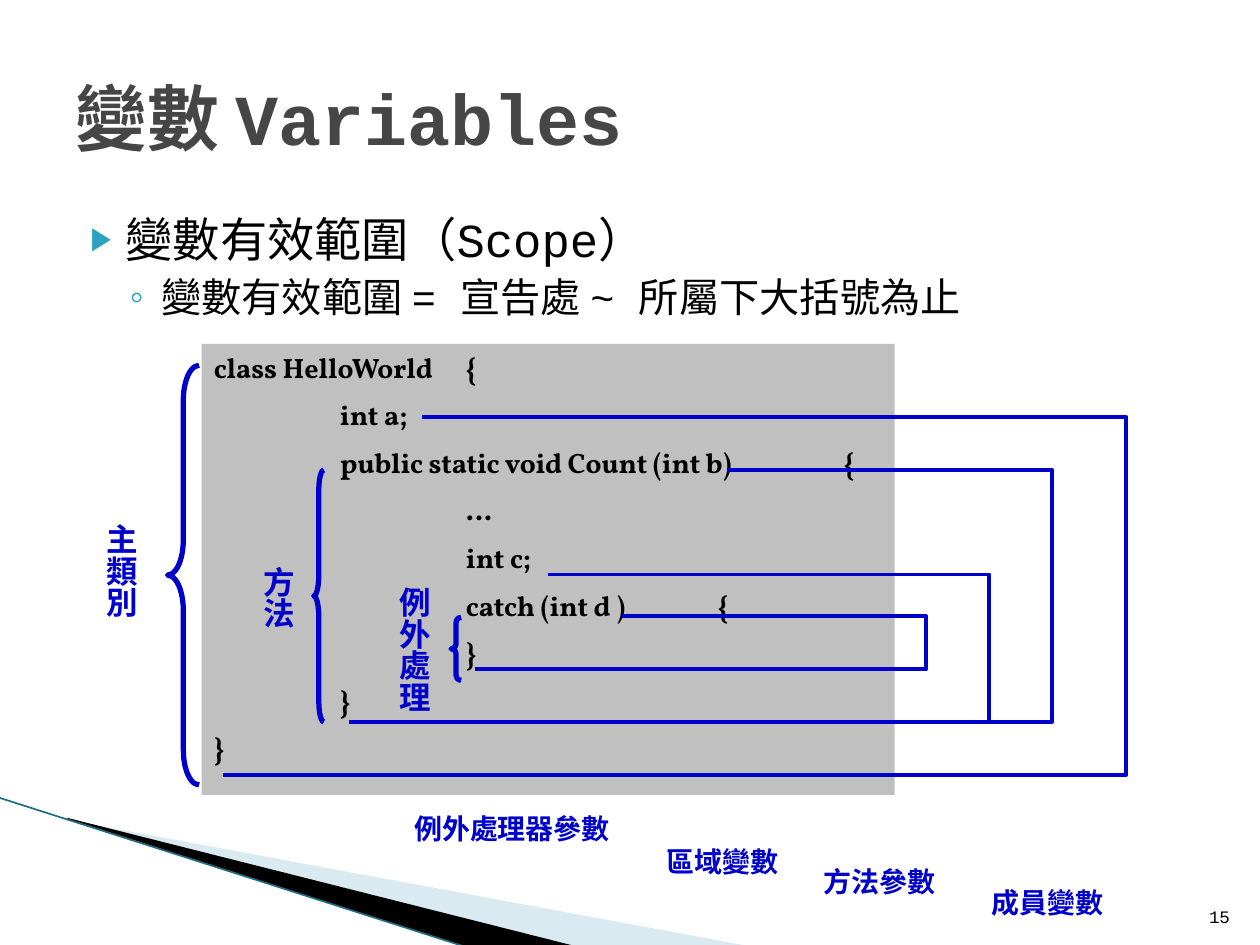
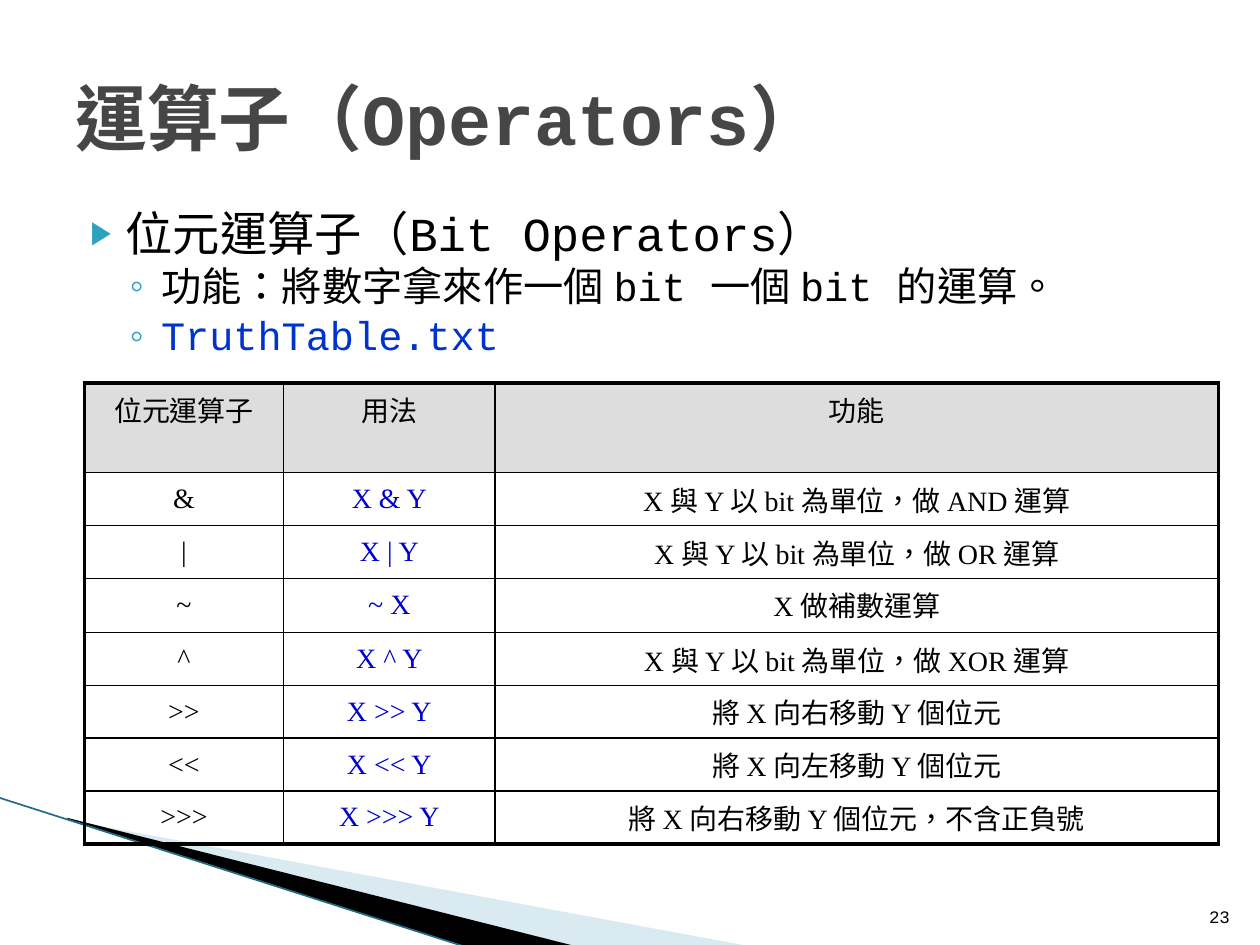
from lxml.etree import SubElement
from pptx import Presentation
from pptx.dml.color import RGBColor
from pptx.enum.shapes import MSO_CONNECTOR, MSO_SHAPE
from pptx.enum.text import MSO_ANCHOR, MSO_AUTO_SIZE, PP_ALIGN
from pptx.oxml.ns import qn
from pptx.util import Inches, Pt

MONO, SERIF, CODE = "Courier New", "Times New Roman", "Vollkorn"
BLACK, BLUE, ACCENT, TITLE_GRAY = "000000", "0000CC", "2DA2BF", "464646"


def write(paragraph, text, size, color=BLACK, font=MONO, bold=False,
          percent_before=None, tab_stops=()):
    """Fill a paragraph and style it; tab_stops are in inches."""
    paragraph.text = text
    properties = paragraph._p.get_or_add_pPr()
    if percent_before:
        space = SubElement(properties, qn("a:spcBef"))
        SubElement(space, qn("a:spcPct"), val=str(percent_before * 1000))
    if tab_stops:
        tab_list = SubElement(properties, qn("a:tabLst"))
        for stop in tab_stops:
            SubElement(tab_list, qn("a:tab"), pos=str(Inches(stop)), algn="l")
    paragraph.font.size = Pt(size)
    paragraph.font.name = font
    paragraph.font.bold = bold
    paragraph.font.color.rgb = RGBColor.from_string(color)
    # Traditional Chinese centres its punctuation
    properties.find(qn("a:defRPr")).set("lang", "zh-TW")


def add_label(slide, box, text, size, color=BLACK, bold=False, anchor=MSO_ANCHOR.TOP):
    """Add a one-paragraph text box and return its shape."""
    label = slide.shapes.add_textbox(*map(Inches, box))
    label.text_frame.vertical_anchor = anchor
    write(label.text_frame.paragraphs[0], text, size, color, bold=bold)
    return label


presentation = Presentation()
presentation.slide_width = Inches(10)
presentation.slide_height = Inches(7.5)

# Shared frame: corner bands, bullets, page number, title
pages = [
    ("變數 Variables", "15", 1.03, None, [
        (0, "變數有效範圍（Scope）", BLACK),
        (1, "變數有效範圍 = 宣告處 ~ 所屬下大括號為止", BLACK),
    ]),
    ("運算子（Operators）", "23", 4.95, 0.9, [
        (0, "位元運算子（Bit Operators）", BLACK),
        (1, "功能：將數字拿來作一個 bit 一個 bit 的運算。", BLACK),
        (1, "TruthTable.txt", "0033CC"),
    ]),
]
bands = [
    ("A0CBDC", 40, [(0.55, 6.51), (5.95, 7.51), (4.56, 7.51), (0.55, 6.5)]),
    (BLACK, 100, [(0.53, 6.49), (4.57, 7.51), (3.72, 7.52), (0.54, 6.5)]),
]
# Per level: indent, hanging, space before, size, bullet, bullet size in percent
levels = [(0.4, 0.28, 4, 27, "▶", 68), (0.68, 0.25, 3.2, 23, "◦", 100)]

for title, number, body_height, line_spacing, bullets in pages:
    slide = presentation.slides.add_slide(presentation.slide_layouts[6])
    for color, opacity, points in bands:
        corners = [(Inches(x), Inches(y)) for x, y in points]
        builder = slide.shapes.build_freeform(*corners[0], scale=1.0)
        builder.add_line_segments(corners[1:], close=True)
        band = builder.convert_to_shape()
        band.shadow.inherit = False
        band.fill.solid()
        band.fill.fore_color.rgb = RGBColor.from_string(color)
        band.line.fill.background()
        if opacity < 100:
            fill_color = band.element.spPr.find(".//" + qn("a:srgbClr"))
            SubElement(fill_color, qn("a:alpha"), val=str(opacity * 1000))
    edge = slide.shapes.add_connector(
        MSO_CONNECTOR.STRAIGHT, Inches(-0.01), Inches(6.33), Inches(3.71), Inches(7.52))
    edge.line.color.rgb = RGBColor.from_string("1F6E80")
    edge.line.width = Pt(0.95)
    SubElement(edge.element.spPr, qn("a:effectLst"))

    body = slide.shapes.add_textbox(Inches(0.5), Inches(1.62), Inches(9), Inches(body_height))
    body.text_frame.word_wrap = True
    for index, (level, text, color) in enumerate(bullets):
        frame = body.text_frame
        paragraph = frame.add_paragraph() if index else frame.paragraphs[0]
        indent, hanging, before, size, bullet, bullet_size = levels[level]
        paragraph.level = level
        properties = paragraph._p.get_or_add_pPr()
        properties.set("marL", str(Inches(indent)))
        properties.set("indent", str(-Inches(hanging)))
        bullet_color = SubElement(properties, qn("a:buClr"))
        SubElement(bullet_color, qn("a:srgbClr"), val=ACCENT)
        SubElement(properties, qn("a:buSzPct"), val=str(bullet_size * 1000))
        SubElement(properties, qn("a:buFont"), typeface=SERIF)
        SubElement(properties, qn("a:buChar"), char=bullet)
        paragraph.space_before = Pt(before)
        paragraph.line_spacing = line_spacing
        write(paragraph, text, size, color)

    page = add_label(slide, (9.46, 7.01, 0.4, 0.4), number, 10, anchor=MSO_ANCHOR.BOTTOM)
    page.text_frame.word_wrap = True
    page.text_frame.paragraphs[0].alignment = PP_ALIGN.RIGHT
    heading = add_label(slide, (0.5, 0.3, 9, 1.25), title, 41, TITLE_GRAY, True,
                        MSO_ANCHOR.MIDDLE)
    heading.text_frame.word_wrap = True

scope_slide, operator_slide = presentation.slides

# Scope slide: code listing
code_lines = [
    "class HelloWorld\t{",
    "\tint a;",
    "\tpublic static void Count (int b)\t{",
    "\t\t…",
    "\t\tint c;",
    "\t\tcatch (int d )\t{",
    "\t\t}",
    "\t}",
    "}",
]
listing = scope_slide.shapes.add_shape(
    MSO_SHAPE.RECTANGLE, Inches(1.6), Inches(2.73), Inches(5.5), Inches(3.58))
listing.shadow.inherit = False
listing.fill.solid()
listing.fill.fore_color.rgb = RGBColor.from_string("C0C0C0")
listing.line.fill.background()
listing.text_frame.vertical_anchor = MSO_ANCHOR.TOP
for index, text in enumerate(code_lines):
    frame = listing.text_frame
    paragraph = frame.add_paragraph() if index else frame.paragraphs[0]
    paragraph.alignment = PP_ALIGN.LEFT
    write(paragraph, text, 16, font=CODE, bold=True, percent_before=50,
          tab_stops=range(1, 6))

# Scope slide: braces with vertical labels
blocks = [
    ("主類別", (0.66, 4.06, 0.5, 0.85), (1.33, 2.9, 0.25, 3.33), 1.11),
    ("方法", (1.91, 4.4, 0.5, 0.6), (2.49, 3.73, 0.08, 2), 2),
    ("例外處理", (2.99, 4.56, 0.5, 1.08), (3.58, 4.9, 0.08, 0.5), 0.5),
]
for text, label_box, brace_box, curve in blocks:
    brace = scope_slide.shapes.add_shape(MSO_SHAPE.LEFT_BRACE, *map(Inches, brace_box))
    brace.adjustments[0] = curve
    brace.shadow.inherit = False
    brace.fill.background()
    brace.line.color.rgb = RGBColor.from_string(BLUE)
    brace.line.width = Pt(3)
    label = add_label(scope_slide, label_box, text, 18, BLUE, True)
    label.text_frame.auto_size = MSO_AUTO_SIZE.SHAPE_TO_FIT_TEXT
    label.element.txBody.bodyPr.set("vert", "eaVert")

# Scope slide: lines from each declaration to its closing brace
# Each: label, label box, declaration point, right edge, closing point
scopes = [
    ("成員變數", (7.77, 6.98, 1.09, 0.37), (3.35, 3.31), 8.94, (1.77, 6.15)),
    ("方法參數", (6.44, 6.81, 1.09, 0.37), (5.77, 3.73), 8.35, (2.77, 5.73)),
    ("區域變數", (5.19, 6.65, 1.09, 0.37), (4.35, 4.56), 7.85, (2.77, 5.73)),
    ("例外處理器參數", (3.19, 6.39, 1.76, 0.37), (4.94, 4.89), 7.35, (3.77, 5.31)),
]
for text, label_box, start, right, end in scopes:
    route = [start, (right, start[1]), (right, end[1]), end]
    corners = [(Inches(x), Inches(y)) for x, y in route]
    builder = scope_slide.shapes.build_freeform(*corners[0], scale=1.0)
    builder.add_line_segments(corners[1:], close=False)
    bracket = builder.convert_to_shape()
    bracket.shadow.inherit = False
    bracket.fill.background()
    bracket.line.color.rgb = RGBColor.from_string(BLUE)
    bracket.line.width = Pt(2.25)
    label = add_label(scope_slide, label_box, text, 16, BLUE, True)
    label.text_frame.auto_size = MSO_AUTO_SIZE.SHAPE_TO_FIT_TEXT

# Operator slide: table
rows = [
    ("位元運算子", "用法", "功能"),
    ("&", "X & Y", "X 與 Y 以 bit 為單位，做 AND 運算"),
    ("|", "X | Y", "X 與 Y 以 bit 為單位，做 OR 運算"),
    ("~", "~ X", "X 做補數運算"),
    ("^", "X ^ Y", "X 與 Y 以 bit 為單位，做 XOR 運算"),
    (">>", "X >> Y", "將 X 向右移動 Y 個位元"),
    ("<<", "X << Y", "將 X 向左移動 Y 個位元"),
    (">>>", "X >>> Y", "將 X 向右移動 Y 個位元，不含正負號"),
]
column_widths = [1.58, 1.68, 5.74]
row_heights = [0.71, 0.42, 0.42, 0.43, 0.42, 0.42, 0.42, 0.42]
last_row, last_column = len(rows) - 1, len(column_widths) - 1
table = operator_slide.shapes.add_table(
    len(rows), len(column_widths), Inches(0.67), Inches(3.04),
    Inches(sum(column_widths)), Inches(sum(row_heights))).table
table.first_row = False
table.horz_banding = False
for column, width in zip(table.columns, column_widths):
    column.width = Inches(width)
for r, texts in enumerate(rows):
    table.rows[r].height = Inches(row_heights[r])
    for c, text in enumerate(texts):
        cell = table.cell(r, c)
        centred = r > 0 and c < last_column
        cell.vertical_anchor = MSO_ANCHOR.MIDDLE if centred else MSO_ANCHOR.TOP
        paragraph = cell.text_frame.paragraphs[0]
        paragraph.alignment = PP_ALIGN.CENTER
        write(paragraph, text, 16, BLUE if r and c == 1 else BLACK, SERIF, percent_before=20)
        properties = cell._tc.get_or_add_tcPr()
        outer_sides = [("a:lnL", c == 0), ("a:lnR", c == last_column),
                       ("a:lnT", r == 0), ("a:lnB", r == last_row)]
        for side, outer in outer_sides:
            border = SubElement(properties, qn(side), w=str(Pt(2.25 if outer else 1)))
            border_fill = SubElement(border, qn("a:solidFill"))
            SubElement(border_fill, qn("a:srgbClr"), val=BLACK)
        if r == 0:
            cell.fill.solid()
            cell.fill.fore_color.rgb = RGBColor.from_string("DDDDDD")
        else:
            cell.fill.background()
        # The schema wants the fill after the borders
        fill = properties.find(qn("a:noFill" if r else "a:solidFill"))
        properties.append(fill)

presentation.save("out.pptx")
